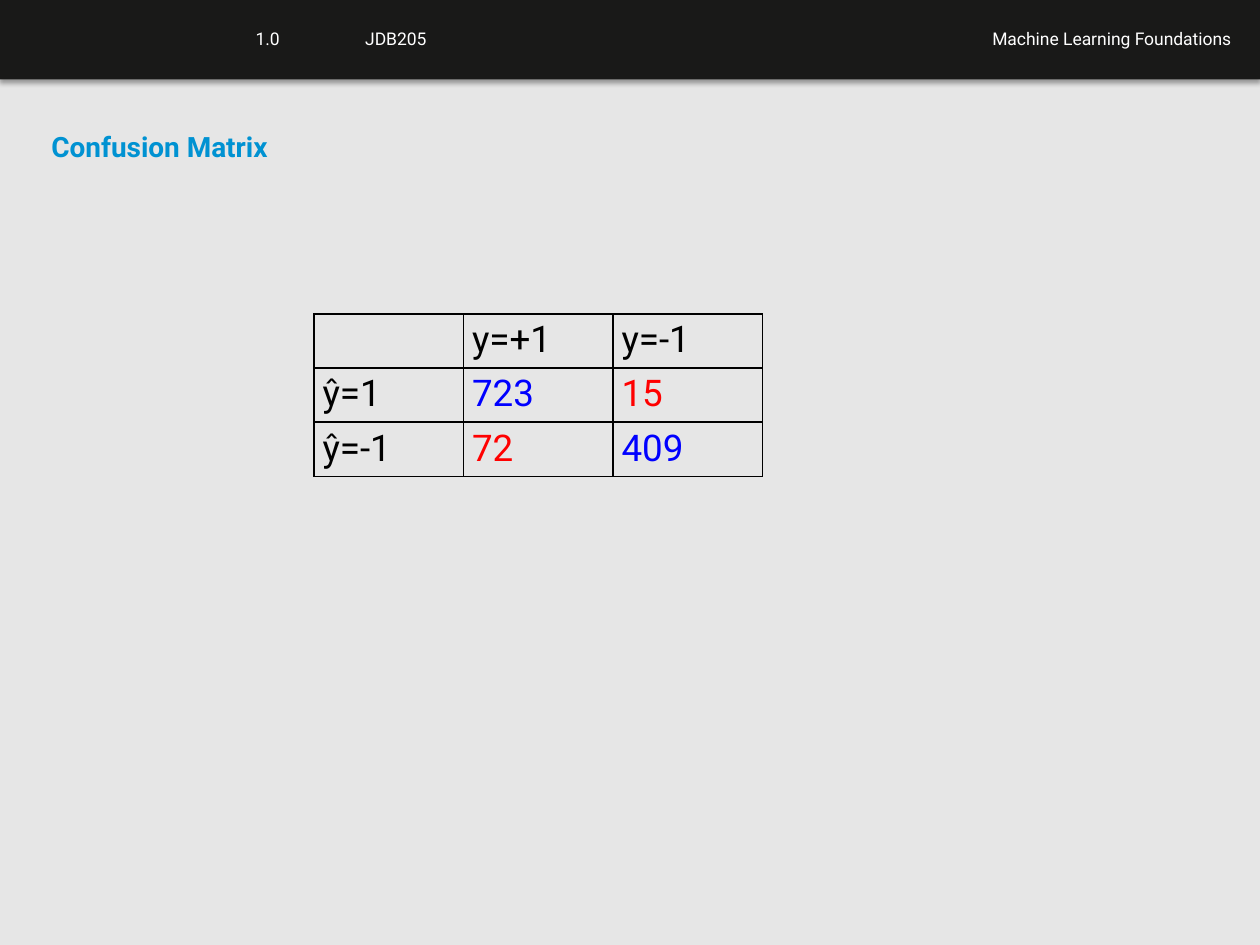
from lxml import etree
from pptx import Presentation
from pptx.dml.color import RGBColor
from pptx.enum.shapes import MSO_SHAPE
from pptx.enum.text import PP_ALIGN
from pptx.oxml import parse_xml
from pptx.util import Inches, Pt

RECT = MSO_SHAPE.RECTANGLE
LEFT, RIGHT = PP_ALIGN.LEFT, PP_ALIGN.RIGHT
NS = "http://schemas.openxmlformats.org/drawingml/2006/main"
BLACK, WHITE, BLUE, RED = "000000", "FFFFFF", "0000FF", "FF0000"


def rgb(color):
    return RGBColor.from_string(color)


def style(p, size, color, bold=False):
    for r in p.runs:
        r.font.name = "Roboto"
        r.font.size = Pt(size)
        r.font.bold = bold
        r.font.color.rgb = rgb(color)


prs = Presentation()
prs.slide_width, prs.slide_height = Inches(10), Inches(7.5)
s = prs.slides.add_slide(prs.slide_layouts[6])
s.background.fill.solid()
s.background.fill.fore_color.rgb = rgb("E6E6E6")

# Header bar with a soft shadow below it
bar = s.shapes.add_shape(RECT, 0, 0, prs.slide_width, Inches(0.63))
bar.fill.solid()
bar.fill.fore_color.rgb = rgb("191918")
bar.line.fill.background()
bar.shadow.inherit = False
bar._element.spPr.replace(
    bar._element.spPr.find(f"{{{NS}}}effectLst"),
    parse_xml(
        f'<a:effectLst xmlns:a="{NS}">'
        f'<a:outerShdw blurRad="{Pt(3.1)}" dist="{Pt(1.8)}" dir="5400000" rotWithShape="0">'
        f'<a:srgbClr val="{BLACK}"><a:alpha val="35000"/></a:srgbClr>'
        "</a:outerShdw></a:effectLst>"
    ),
)

# Header labels and title
labels = [
    ("Machine Learning Foundations", 5.31, 0.17, 4.56, 0.27, RIGHT, 10, WHITE, False),
    ("1.0", 1.93, 0.17, 0.87, 0.27, LEFT, 10, WHITE, False),
    ("JDB205", 2.8, 0.17, 1.65, 0.27, LEFT, 10, WHITE, False),
    ("Confusion Matrix", 0.31, 0.98, 9.45, 1.16, LEFT, 16, "0092D2", True),
]
for text, x, y, w, h, align, size, color, bold in labels:
    tf = s.shapes.add_textbox(Inches(x), Inches(y), Inches(w), Inches(h)).text_frame
    tf.word_wrap = True
    tf.text = text
    p = tf.paragraphs[0]
    p.alignment = align
    style(p, size, color, bold)

# Confusion matrix: correct counts in blue, errors in red
matrix = [
    ["", "y=+1", "y=-1"],
    ["ŷ=1", "723", "15"],
    ["ŷ=-1", "72", "409"],
]
table = s.shapes.add_table(
    3, 3, Inches(2.49), Inches(2.49), Inches(3.56), Inches(1.28)
).table
table.first_row = table.horz_banding = False
for i, row in enumerate(matrix):
    for j, text in enumerate(row):
        cell = table.cell(i, j)
        cell.margin_left = cell.margin_right = Inches(0.07)
        cell.margin_top = cell.margin_bottom = Inches(0.04)
        tcPr = cell._tc.get_or_add_tcPr()
        for side in ("lnL", "lnR", "lnT", "lnB"):
            ln = etree.SubElement(tcPr, f"{{{NS}}}{side}", w=str(Pt(1)))
            fill = etree.SubElement(ln, f"{{{NS}}}solidFill")
            etree.SubElement(fill, f"{{{NS}}}srgbClr", val=BLACK)
        cell.fill.background()
        cell.text_frame.text = text
        color = BLACK if 0 in (i, j) else BLUE if i == j else RED
        style(cell.text_frame.paragraphs[0], 21, color)

prs.save("out.pptx")
